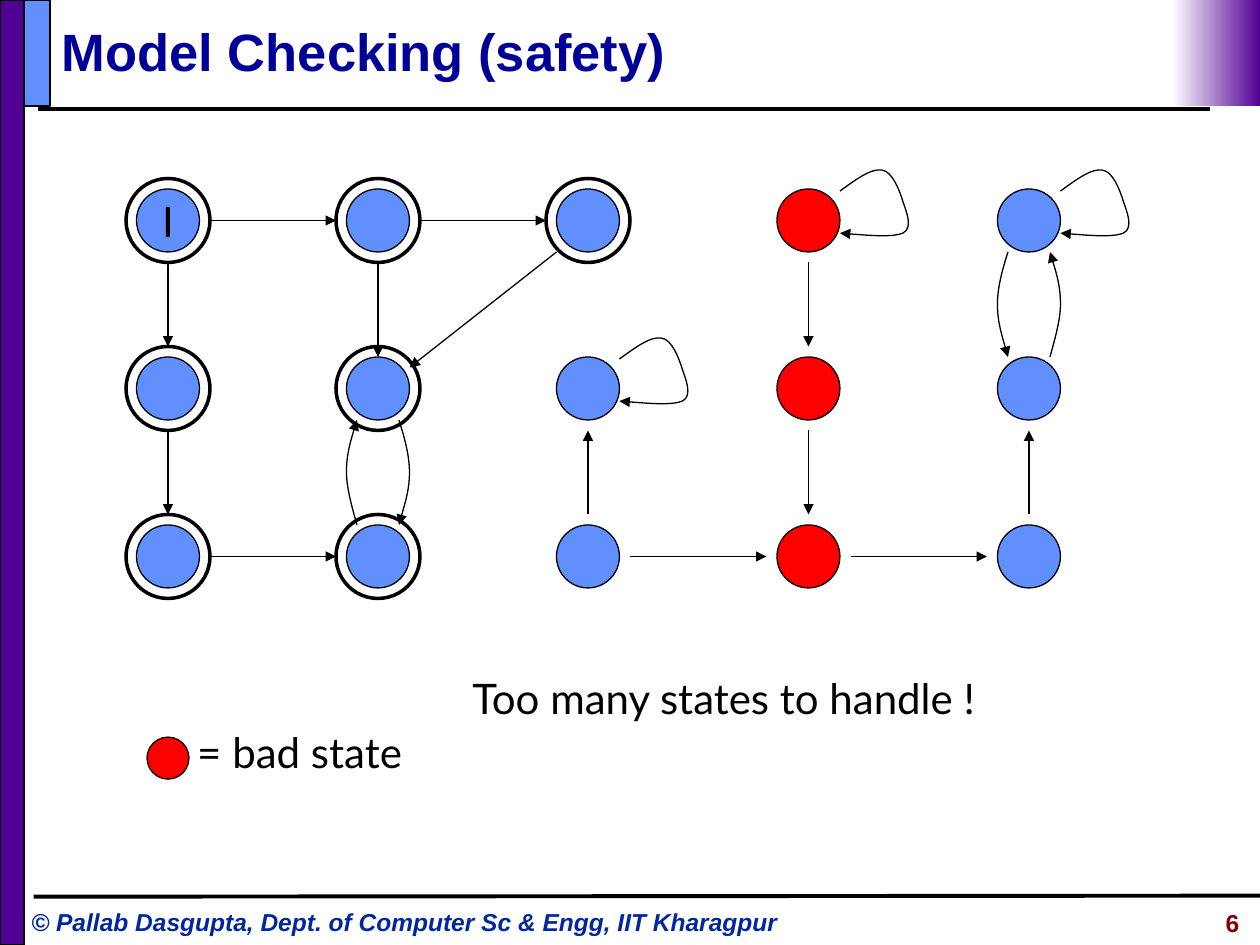
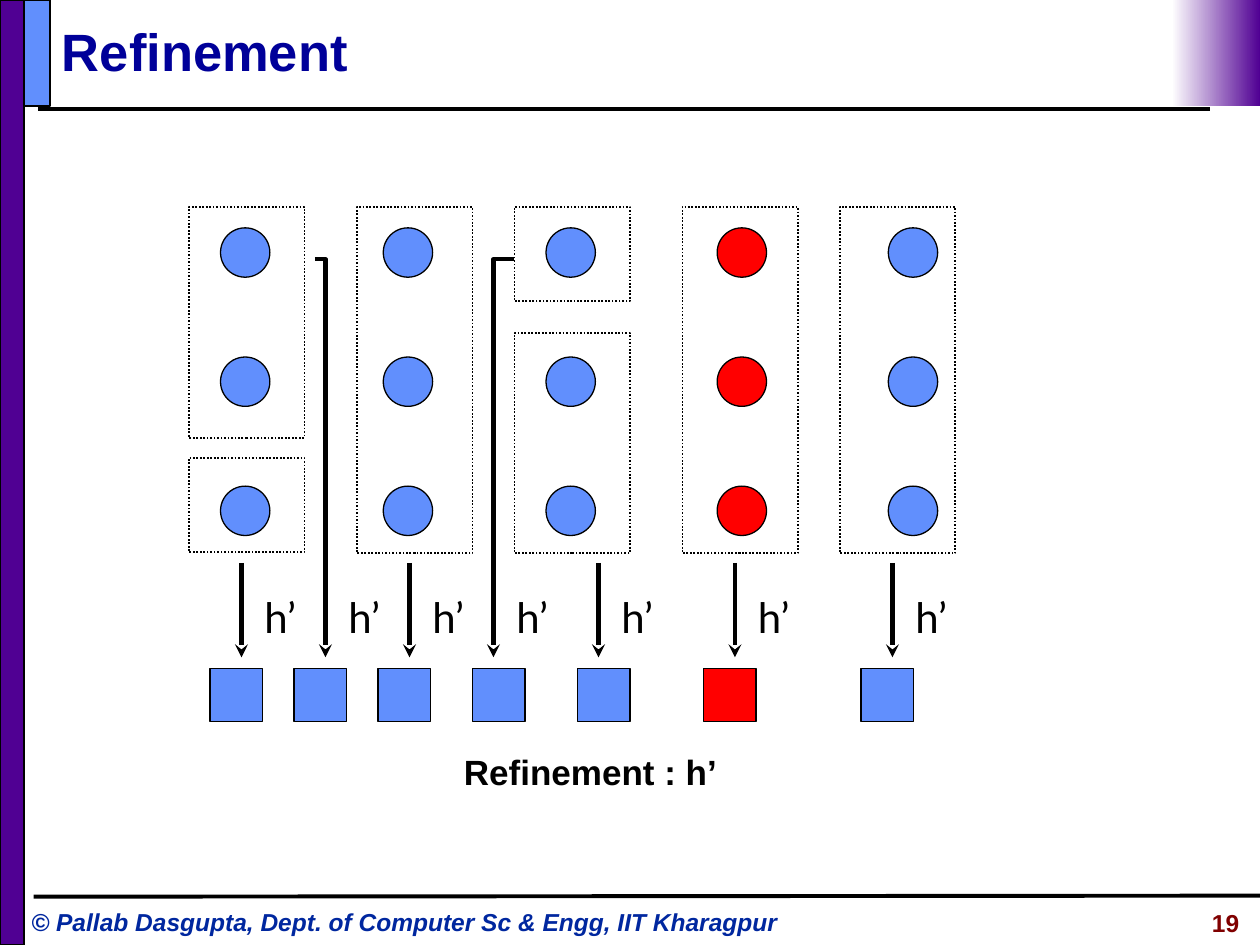
from itertools import product

from lxml import etree
from pptx import Presentation
from pptx import util as u
from pptx.dml.color import RGBColor
from pptx.enum import dml, shapes, text
from pptx.oxml import ns

PX = 7620
BLACK = RGBColor(0, 0, 0)
WHITE = RGBColor(255, 255, 255)
PURPLE = RGBColor(0x50, 0x00, 0x93)
BLUE = RGBColor(0x61, 0x8F, 0xFD)
RED = RGBColor(255, 0, 0)
TITLE_BLUE = RGBColor(0x00, 0x00, 0x99)
FOOTER_BLUE = RGBColor(0x00, 0x27, 0x9F)
MAROON = RGBColor(0x80, 0, 0)
RECT = shapes.MSO_SHAPE.RECTANGLE
OVAL = shapes.MSO_SHAPE.OVAL
FOOTER = "© Pallab Dasgupta, Dept. of Computer Sc & Engg, IIT Kharagpur"

NODE_RADIUS = 30
REACH = 40
LOOP = [(30, -28), (45, -39), (60, -50), (70, -48), (80, -47), (87, -28), (90, -18),
        (93, -9), (100, 7), (90, 12), (80, 16), (54, 14), (30, 12)]
BEND = [(20, 30), (25, 46), (30, 63), (30, 80), (30, 97), (22, 122), (20, 130)]


class Painter:
    def __init__(self):
        self.deck = Presentation()
        self.deck.slide_width = 1200 * PX
        self.deck.slide_height = 900 * PX
        self.page = None

    def new_page(self, title, number):
        self.page = self.deck.slides.add_slide(self.deck.slide_layouts[5])
        self.line((36, 104), (1152, 104), 2.25)
        self.text(18, 858, 764, 41, FOOTER, 14, "Arial", FOOTER_BLUE, bold=True, italic=True)
        self.shape(RECT, 0, 0, 23, 900, PURPLE, 1)
        self.line((32, 854), (1200, 853), 2.25)
        self.shape(RECT, 23, 0, 25, 101, BLUE, 1)
        self.fade(1116, 0, 84, 101)
        self.title(title)
        self.text(982, 859, 210, 42, str(number), 14, "Arial", MAROON, bold=True,
                  align=text.PP_ALIGN.RIGHT)

    def place(self, item, left, top, width, height):
        item.left, item.top = left * PX, top * PX
        item.width, item.height = width * PX, height * PX

    def style(self, para, size, name, color, bold=False, italic=False, align=None):
        para.alignment = align
        font = para.font
        font.size, font.name, font.bold, font.italic = u.Pt(size), name, bold, italic
        font.color.rgb = color

    def title(self, words):
        box = self.page.shapes.title
        self.place(box, 47, 12, 1092, 73)
        frame = box.text_frame
        frame.text = words
        frame.auto_size = text.MSO_AUTO_SIZE.NONE
        frame.vertical_anchor = text.MSO_ANCHOR.MIDDLE
        self.style(frame.paragraphs[0], 30, "Arial", TITLE_BLUE, bold=True,
                   align=text.PP_ALIGN.LEFT)

    def text(self, left, top, width, height, words, size, name="Lato", color=BLACK,
             wrap=True, **looks):
        box = self.page.shapes.add_textbox(left * PX, top * PX, width * PX, height * PX)
        box.text_frame.text = words
        box.text_frame.word_wrap = wrap
        self.style(box.text_frame.paragraphs[0], size, name, color, **looks)

    def shape(self, kind, left, top, width, height, fill=None, weight=0.75, dash=None):
        item = self.page.shapes.add_shape(kind, left * PX, top * PX, width * PX, height * PX)
        item.shadow.inherit = False
        if fill is None:
            item.fill.background()
        else:
            item.fill.solid()
            item.fill.fore_color.rgb = fill
        self.outline(item, weight)
        if dash:
            item.line.dash_style = dash
        return item

    def fade(self, left, top, width, height):
        band = self.shape(RECT, left, top, width, height)
        band.line.fill.background()
        band.fill.gradient()
        band.fill.gradient_angle = 180
        for stop, color in zip(band.fill.gradient_stops, (PURPLE, WHITE)):
            stop.color.rgb = color

    def circle(self, center, radius, fill=None, weight=0.75):
        x, y = center
        return self.shape(OVAL, x - radius, y - radius, 2 * radius, 2 * radius, fill, weight)

    def outline(self, item, weight, arrow=None, end="tailEnd"):
        item.line.color.rgb = BLACK
        item.line.width = u.Pt(weight)
        if arrow:
            stroke = item.element.spPr.find(ns.qn("a:ln"))
            etree.SubElement(stroke, ns.qn(f"a:{end}"), type=arrow)

    def line(self, start, finish, weight=0.75, arrow=None):
        ends = [value * PX for value in (*start, *finish)]
        link = self.page.shapes.add_connector(shapes.MSO_CONNECTOR.STRAIGHT, *ends)
        self.outline(link, weight, arrow)
        etree.SubElement(link.element.spPr, ns.qn("a:effectLst"))

    def polyline(self, points, weight=0.75, arrow="triangle", end="tailEnd"):
        builder = self.page.shapes.build_freeform(*points[0], scale=PX)
        builder.add_line_segments(points[1:], close=False)
        item = builder.convert_to_shape()
        item.shadow.inherit = False
        item.fill.background()
        self.outline(item, weight, arrow, end)
        return item

    def curve(self, points, end="tailEnd"):
        item = self.polyline(points, end=end)
        outline = next(item.element.iter(ns.qn("a:path")))
        segments = outline.findall(ns.qn("a:lnTo"))
        for first in range(0, len(segments), 3):
            bezier = etree.SubElement(outline, ns.qn("a:cubicBezTo"))
            for segment in segments[first:first + 3]:
                bezier.append(segment[0])
                outline.remove(segment)

    def loop(self, center):
        x, y = center
        self.curve([(x + dx, y + dy) for dx, dy in LOOP])

    def bend(self, center, side, end):
        x, y = center
        self.curve([(x + side * dx, y + dy) for dx, dy in BEND], end)

    def step(self, start, finish):
        (x1, y1), (x2, y2) = start, finish
        dx = REACH * ((x2 > x1) - (x2 < x1))
        dy = REACH * ((y2 > y1) - (y2 < y1))
        self.line((x1 + dx, y1 + dy), (x2 - dx, y2 - dy), arrow="triangle")


def model_checking(painter):
    painter.new_page("Model Checking (safety)", 6)
    columns, rows = (160, 360, 560, 770, 980), (210, 370, 530)
    state = {(c, r): (x, y) for (c, x), (r, y) in product(enumerate(columns), enumerate(rows))}
    reachable = [(0, 0), (0, 1), (0, 2), (1, 0), (1, 1), (1, 2), (2, 0)]

    for (column, row), center in state.items():
        node = painter.circle(center, NODE_RADIUS, RED if column == 3 else BLUE)
        if (column, row) == (0, 0):
            frame = node.text_frame
            frame.text = "I"
            frame.word_wrap = False
            frame.vertical_anchor = text.MSO_ANCHOR.MIDDLE
            painter.style(frame.paragraphs[0], 24, "Lato", BLACK, align=text.PP_ALIGN.CENTER)

    steps = [((0, 0), (1, 0)), ((1, 0), (2, 0)), ((0, 0), (0, 1)), ((0, 1), (0, 2)),
             ((0, 2), (1, 2)), ((2, 2), (2, 1)), ((2, 2), (3, 2)), ((3, 0), (3, 1)),
             ((3, 1), (3, 2)), ((3, 2), (4, 2)), ((4, 2), (4, 1))]
    for start, finish in steps:
        painter.step(state[start], state[finish])
    painter.line((360, 250), (360, 340), arrow="triangle")
    painter.line((530, 240), (390, 350), arrow="triangle")

    for spot in ((2, 1), (3, 0), (4, 0)):
        painter.loop(state[spot])
    for spot, down_side in (((1, 1), 1), ((4, 0), -1)):
        painter.bend(state[spot], down_side, "tailEnd")
        painter.bend(state[spot], -down_side, "headEnd")
    for spot in reachable:
        painter.circle(state[spot], REACH, weight=2)

    painter.text(438, 635, 542, 60, "Too many states to handle !", 24, wrap=False)
    painter.circle((160, 722), 20, RED)
    painter.text(176, 686, 232, 60, "= bad state", 24, wrap=False)


def refinement(painter):
    painter.new_page("Refinement", 19)
    for left, top in product((210, 365, 520, 683, 846), (217, 340, 463)):
        painter.shape(OVAL, left, top, 47, 47, RED if left == 683 else BLUE)

    blocks = [(180, 197, 220), (180, 436, 90), (340, 197, 330), (490, 197, 90),
              (490, 317, 210), (650, 197, 330), (800, 197, 330)]
    for left, top, height in blocks:
        painter.shape(RECT, left, top, 110, height, weight=1,
                      dash=dml.MSO_LINE.ROUND_DOT)

    arrow_top, arrow_bottom, elbow = 536, 626, 247
    elbow_starts = {310: 300, 470: 490}
    abstract_states = [(200, 230), (280, 310), (360, 390), (450, 470), (550, 570),
                       (670, 700), (820, 850)]
    for left, x in abstract_states:
        painter.shape(RECT, left, 637, 50, 50, RED if left == 670 else BLUE)
        if x in elbow_starts:
            painter.polyline([(elbow_starts[x], elbow), (x, elbow), (x, arrow_bottom)],
                             2.5, "stealth")
        else:
            painter.line((x, arrow_top), (x, arrow_bottom), 2.5, "stealth")
        painter.text(x + 10, 557, 60, 60, "h’", 24)

    painter.text(430, 709, 275, 53, "Refinement : h’", 20, "Arial", wrap=False, bold=True)


def main():
    painter = Painter()
    model_checking(painter)
    refinement(painter)
    painter.deck.save("out.pptx")


if __name__ == "__main__":
    main()
